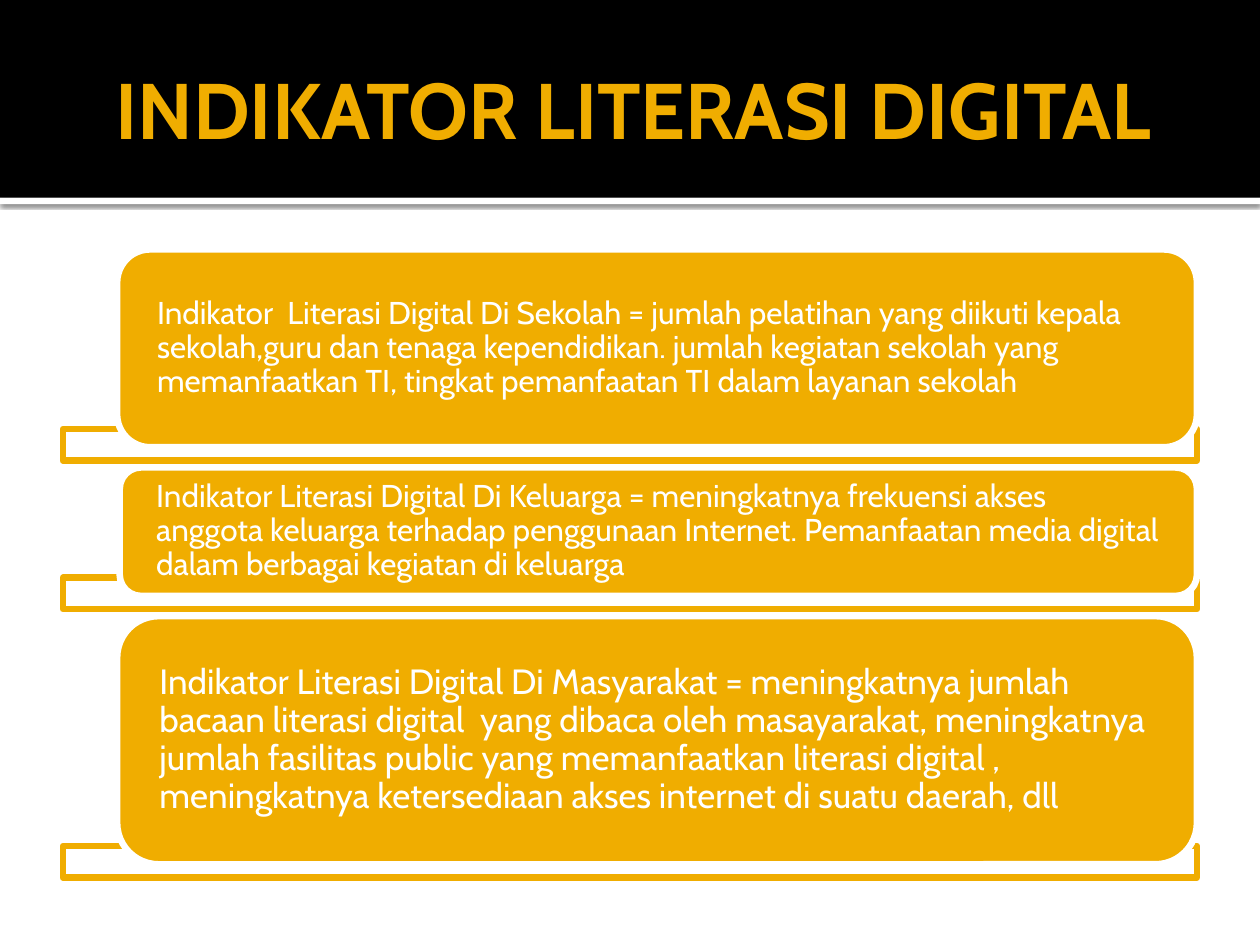
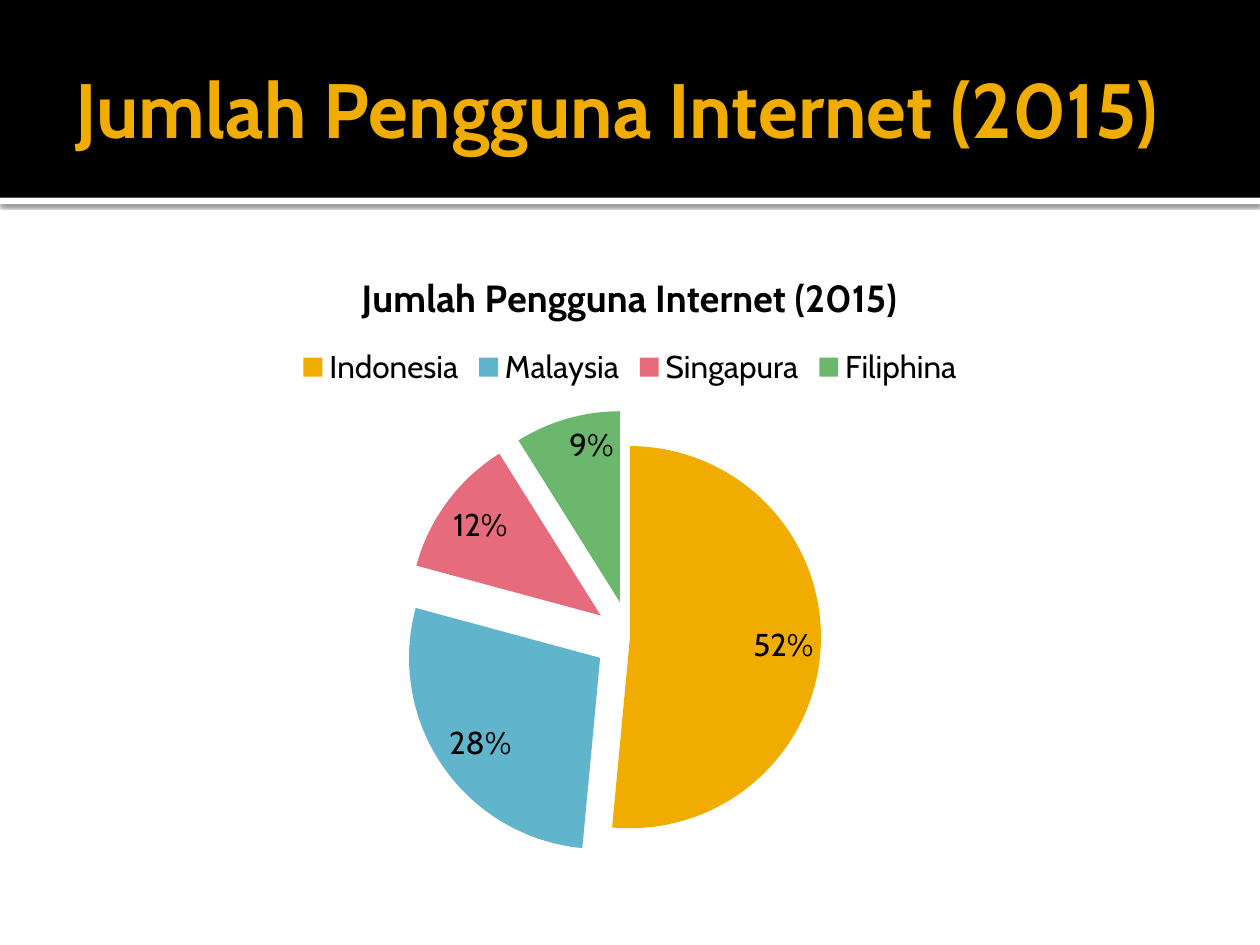
import pptx
import pptx.chart.data
import pptx.dml.color
import pptx.enum.chart
import pptx.enum.shapes
import pptx.enum.text
import pptx.oxml
import pptx.oxml.ns
import pptx.util

COLORS = {"gold": "F0AD00", "blue": "60B5CC", "rose": "E66C7D", "green": "6BB76D",
          "white": "FFFFFF", "black": "000000"}
FONT = "Cabin"
COLUMNS, ROWS = 20, 15
BAND_ROWS = 3.14
BAND_SHADOW = (
    '<a:effectLst %s><a:outerShdw blurRad="31750" dist="10160" dir="5400000">'
    '<a:srgbClr val="000000"><a:alpha val="60000"/></a:srgbClr>'
    '</a:outerShdw></a:effectLst>' % pptx.oxml.ns.nsdecls("a"))

Align = pptx.enum.text.PP_ALIGN
ShapeType = pptx.enum.shapes.MSO_SHAPE


def rgb(name):
    return pptx.dml.color.RGBColor.from_string(COLORS[name])


def apply_format(target, values):
    for name, value in values.items():
        setattr(target, name, value)


class Deck:
    """Holds the style and the slide being built."""

    def __init__(self, presentation):
        self.presentation = presentation
        self.slide = None

    def box(self, column, row, columns, rows):
        width = self.presentation.slide_width / COLUMNS
        height = self.presentation.slide_height / ROWS
        return [round(value) for value in
                (column * width, row * height, columns * width, rows * height)]

    def style_font(self, font, size, color, bold=False):
        apply_format(font, {"name": FONT, "size": pptx.util.Pt(size), "bold": bold})
        font.color.rgb = rgb(color)

    def add_slide(self, title, size, align):
        self.slide = self.presentation.slides.add_slide(self.presentation.slide_layouts[5])
        # Header band with a shadowed white edge
        edge = self.shape(ShapeType.RECTANGLE, (0, BAND_ROWS, COLUMNS, 0.1), "white")
        properties = edge._element.spPr
        properties.remove(properties.find(pptx.oxml.ns.qn("a:effectLst")))
        properties.append(pptx.oxml.parse_xml(BAND_SHADOW))
        self.shape(ShapeType.RECTANGLE, (0, 0, COLUMNS, BAND_ROWS), "black")
        # Title in front of the band
        holder = self.slide.shapes.title
        self.slide.shapes._spTree.append(holder._element)
        apply_format(holder, dict(zip(("left", "top", "width", "height"),
                                      self.box(1, 0.34, 18, 2.74))))
        self.fill_text(holder.text_frame, title, size, "gold", (0.1, 0.05, 0.05, 0.05),
                       bold=True, align=align)

    def fill_text(self, frame, text, size, color, insets, bold=False,
                  align=Align.LEFT, spacing=1.0):
        margins = ("margin_left", "margin_top", "margin_right", "margin_bottom")
        apply_format(frame, {"word_wrap": True,
                             "auto_size": pptx.enum.text.MSO_AUTO_SIZE.NONE,
                             "vertical_anchor": pptx.enum.text.MSO_ANCHOR.MIDDLE})
        apply_format(frame, {name: pptx.util.Inches(inset)
                             for name, inset in zip(margins, insets)})
        paragraph = frame.paragraphs[0]
        apply_format(paragraph, {"alignment": align, "line_spacing": spacing})
        run = paragraph.add_run()
        run.text = text
        self.style_font(run.font, size, color, bold)

    def shape(self, kind, place, fill, line=None):
        shape = self.slide.shapes.add_shape(kind, *self.box(*place))
        shape.shadow.inherit = False
        shape.fill.solid()
        shape.fill.fore_color.rgb = rgb(fill)
        if line:
            shape.line.color.rgb = rgb(line)
            shape.line.width = pptx.util.Pt(3.78)
        else:
            shape.line.fill.background()
        return shape

    def indicator(self, text, size, left, top, rows):
        right, bottom = 19, top + rows
        self.shape(ShapeType.RECTANGLE, (1, bottom - 0.29, 18, 0.5), "white", "gold")
        card = self.shape(ShapeType.ROUNDED_RECTANGLE,
                          (left, top, right - left, rows), "gold", "white")
        self.fill_text(card.text_frame, text, size, "white", (0.24, 0, 0.24, 0),
                       spacing=0.9)

    def pie(self, title, shares, place, explosion):
        data = pptx.chart.data.CategoryChartData()
        data.categories = [name for name, value, color in shares]
        data.add_series(title, [value for name, value, color in shares])
        chart = self.slide.shapes.add_chart(
            pptx.enum.chart.XL_CHART_TYPE.PIE, *self.box(*place), data).chart
        self.style_font(chart.font, 18, "black")
        # Title and legend
        chart.has_title = True
        chart.chart_title.include_in_layout = False
        run = chart.chart_title.text_frame.paragraphs[0].add_run()
        run.text = title
        self.style_font(run.font, 21.6, "black", bold=True)
        chart.has_legend = True
        apply_format(chart.legend, {"position": pptx.enum.chart.XL_LEGEND_POSITION.TOP,
                                    "include_in_layout": False})
        # Slices: the first stays in place, the others move out
        plot = chart.plots[0]
        plot.vary_by_categories = True
        for index, (name, value, color) in enumerate(shares):
            fill = plot.series[0].points[index].format.fill
            fill.solid()
            fill.fore_color.rgb = rgb(color)
        for index, point in enumerate(
                plot.series[0]._element.findall(pptx.oxml.ns.qn("c:dPt"))):
            offset = pptx.oxml.parse_xml('<c:explosion %s val="%d"/>' % (
                pptx.oxml.ns.nsdecls("c"), explosion if index else 0))
            point.find(pptx.oxml.ns.qn("c:spPr")).addprevious(offset)
        # Labels
        plot.has_data_labels = True
        apply_format(plot.data_labels, {
            "show_value": True, "show_percentage": False,
            "number_format": '0"%"', "number_format_is_linked": False,
            "position": pptx.enum.chart.XL_LABEL_POSITION.INSIDE_END})
        self.style_font(plot.data_labels.font, 18, "black")


INDICATORS = [  # text, size, left column, rows
    ("Indikator  Literasi Digital Di Sekolah = jumlah pelatihan yang diikuti kepala "
     "sekolah,guru dan tenaga kependidikan. jumlah kegiatan sekolah yang memanfaatkan TI, "
     "tingkat pemanfaatan TI dalam layanan sekolah", 18, 1.86, 3.14),
    ("Indikator Literasi Digital Di Keluarga = meningkatnya frekuensi akses anggota "
     "keluarga terhadap penggunaan Internet. Pemanfaatan media digital dalam berbagai "
     "kegiatan di keluarga", 18, 1.9, 2.04),
    ("Indikator Literasi Digital Di Masyarakat = meningkatnya jumlah bacaan literasi "
     "digital  yang dibaca oleh masayarakat, meningkatnya jumlah fasilitas public yang "
     "memanfaatkan literasi digital , meningkatnya ketersediaan akses internet di suatu "
     "daerah, dll", 20, 1.86, 3.94),
]
INTERNET_TITLE = "Jumlah Pengguna Internet (2015)"
INTERNET_USERS = [("Indonesia", 52, "gold"), ("Malaysia", 28, "blue"),
                  ("Singapura", 12, "rose"), ("Filiphina", 9, "green")]


def main():
    presentation = pptx.Presentation()
    apply_format(presentation, {"slide_width": pptx.util.Inches(10),
                                "slide_height": pptx.util.Inches(7.5)})
    deck = Deck(presentation)

    # Indicators of digital literacy
    deck.add_slide("INDIKATOR LITERASI DIGITAL", 45, Align.CENTER)
    top, gap = 3.96, 0.32
    for text, size, left, rows in INDICATORS:
        deck.indicator(text, size, left, top, rows)
        top += rows + gap

    # Internet users by country
    deck.add_slide(INTERNET_TITLE, 44, Align.LEFT)
    deck.pie(INTERNET_TITLE, INTERNET_USERS, (1, 3.88, 18, 10.12), explosion=19)

    presentation.save("out.pptx")


if __name__ == "__main__":
    main()
